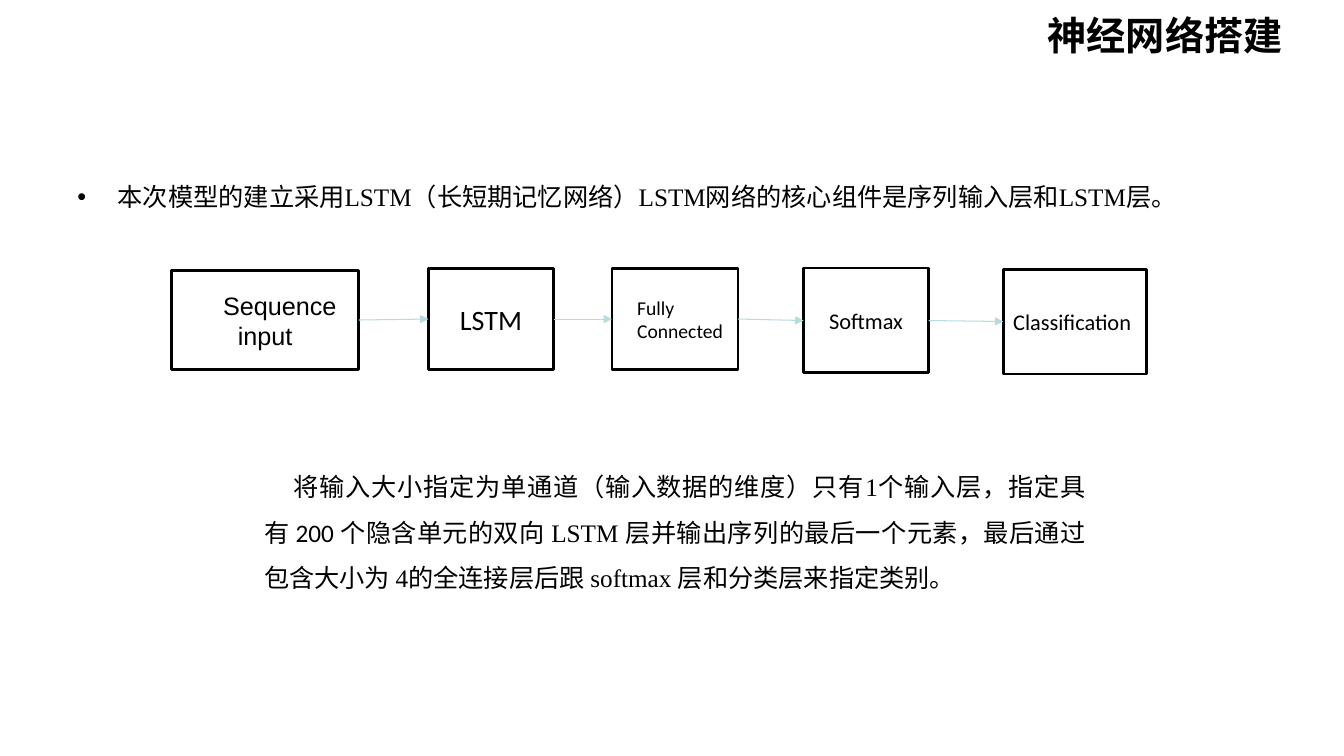
from itertools import pairwise

from pptx import Presentation
from pptx.dml.color import RGBColor
from pptx.enum.shapes import MSO_CONNECTOR, MSO_SHAPE
from pptx.enum.text import MSO_ANCHOR, MSO_AUTO_SIZE, PP_ALIGN
from pptx.oxml.ns import qn
from pptx.util import Pt
from lxml.etree import SubElement

PX = 9144
CJK = "Noto Sans CJK SC"
SERIF = "Times New Roman"
LAYERS = [
    ((170, 268, 186, 99), "Sequence input", "Arial", 18, PP_ALIGN.CENTER, 29),
    ((425, 266, 124, 101), "LSTM", "Calibri", 20, PP_ALIGN.CENTER, 0),
    ((607, 266, 125, 101), "Fully\nConnected", "Calibri", 14, PP_ALIGN.LEFT, 15),
    ((797, 266, 124, 104), "Softmax", "Calibri", 16, PP_ALIGN.CENTER, 0),
    ((995, 267, 142, 104), "Classification", "Calibri", 16, PP_ALIGN.LEFT, 0),
]
INTRO = "本次模型的建立采用LSTM（长短期记忆网络）LSTM网络的核心组件是序列输入层和LSTM层。"
SETTINGS = [
    ("将输入大小指定为单通道（输入数据的维度）只有1个输入层，指定具有 ", SERIF),
    ("200 ", "Calibri"),
    ("个隐含单元的双向 LSTM 层并输出序列的最后一个元素，最后通过包含大小为 4的全连接层后跟 softmax 层和分类层来指定类别。", SERIF),
]


def color(code):
    """Turn a hex string into a colour."""
    return RGBColor.from_string(code)


def apply(target, **values):
    """Set each given format value on the target."""
    for name, value in values.items():
        setattr(target, name, value)


def emu(lengths):
    """Scale pixel lengths to EMU."""
    return [length * PX for length in lengths]


def add_run(paragraph, text, face, size, bold=False):
    """Append a black run with its Latin and East Asian fonts."""
    run = paragraph.add_run()
    run.text = text
    apply(run.font, name=face, size=Pt(size), bold=bold)
    run.font.color.rgb = color("000000")
    SubElement(run.font._element, qn("a:ea"), typeface=CJK)


def indent(paragraph, first, left=0):
    """Set the left margin and first-line indent."""
    properties = paragraph._p.get_or_add_pPr()
    properties.set("marL", str(left * PX))
    properties.set("indent", str(first * PX))
    return properties


def add_title(slide, text):
    """Place the slide title at the top right."""
    title = slide.shapes.title
    apply(title, **dict(zip(("left", "top", "width", "height"), emu((1029, 6, 264, 57)))))
    frame = title.text_frame
    apply(frame, word_wrap=True, auto_size=MSO_AUTO_SIZE.NONE, vertical_anchor=MSO_ANCHOR.TOP)
    heading = frame.paragraphs[0]
    heading.alignment = PP_ALIGN.LEFT
    add_run(heading, text, CJK, 28, True)


def add_passage(slide, place, runs):
    """Add a wrapping text box and return its paragraph."""
    frame = slide.shapes.add_textbox(*emu(place)).text_frame
    frame.word_wrap = True
    passage = frame.paragraphs[0]
    for text, face in runs:
        add_run(passage, text, face, 18)
    return passage


def add_layer(slide, place, label, face, size, alignment, first):
    """Add one outlined network layer."""
    layer = slide.shapes.add_shape(MSO_SHAPE.RECTANGLE, *emu(place))
    layer.shadow.inherit = False
    layer.fill.solid()
    layer.fill.fore_color.rgb = color("FFFFFF")
    layer.line.color.rgb = color("000000")
    layer.line.width = Pt(2)
    frame = layer.text_frame
    apply(frame, word_wrap=True, vertical_anchor=MSO_ANCHOR.MIDDLE)
    for number, text in enumerate(label.split("\n")):
        paragraph = frame.add_paragraph() if number else frame.paragraphs[0]
        paragraph.alignment = alignment
        indent(paragraph, first)
        add_run(paragraph, text, face, size)
    return layer


def add_arrow(slide, source, target):
    """Join two layers with an arrow from right side to left side."""
    arrow = slide.shapes.add_connector(MSO_CONNECTOR.STRAIGHT, 0, 0, 0, 0)
    arrow.begin_connect(source, 3)
    arrow.end_connect(target, 1)
    arrow.line.color.rgb = color("B6DCDF")
    arrow.line.width = Pt(0.75)
    SubElement(arrow.line._get_or_add_ln(), qn("a:tailEnd"), type="triangle")
    SubElement(arrow._element.spPr, qn("a:effectLst"))


def main():
    """Build the network structure slide."""
    deck = Presentation()
    apply(deck, slide_width=1333 * PX, slide_height=750 * PX)
    slide = deck.slides.add_slide(deck.slide_layouts[5])
    add_title(slide, "神经网络搭建")

    intro = add_passage(slide, (67, 175, 1200, 495), [(INTRO, SERIF)])
    bullet = indent(intro, -40, 40)
    SubElement(bullet, qn("a:buFont"), typeface="Arial")
    SubElement(bullet, qn("a:buChar"), char="•")

    layers = [add_layer(slide, *layer) for layer in LAYERS]
    for source, target in pairwise(layers):
        add_arrow(slide, source, target)

    settings = add_passage(slide, (252, 448, 835, 141), SETTINGS)
    apply(settings, alignment=PP_ALIGN.JUSTIFY, line_spacing=1.5)
    indent(settings, 29)
    deck.save("out.pptx")


if __name__ == "__main__":
    main()
